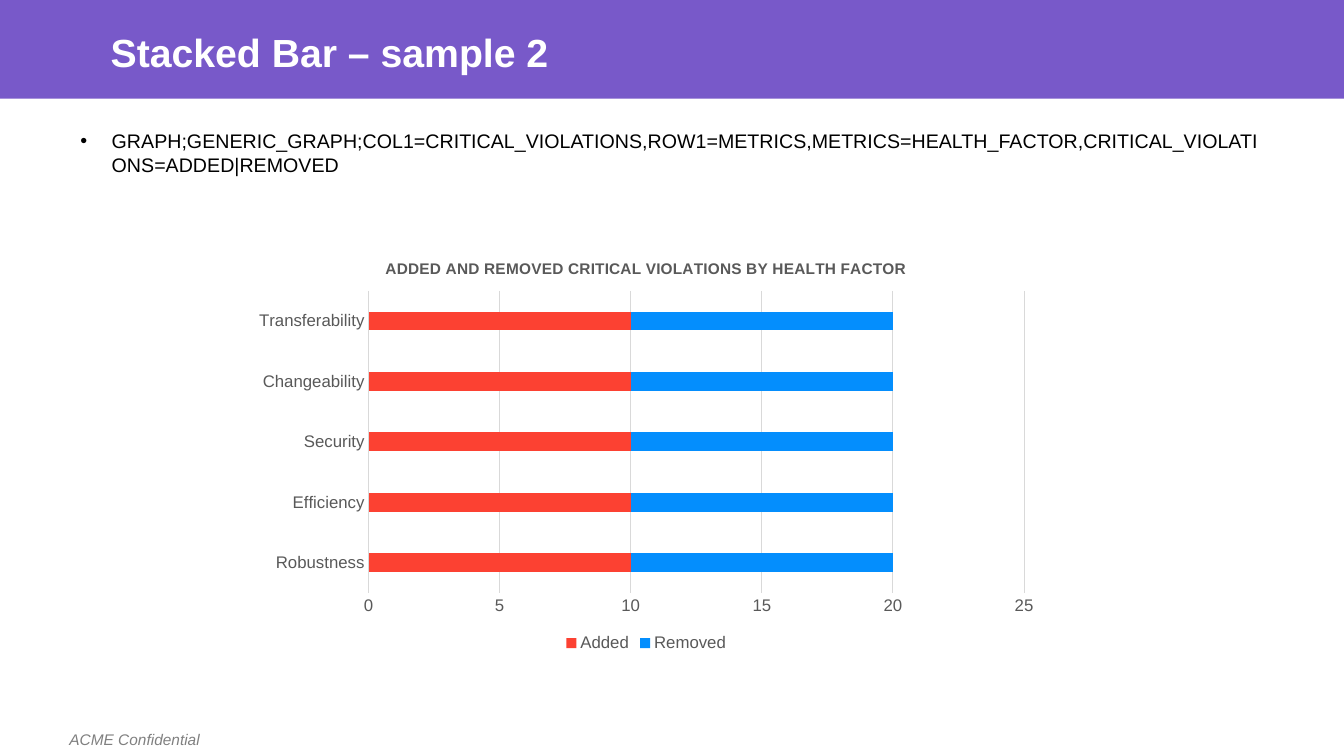
"""Build a slide with a stacked bar chart of critical violations."""
from pptx import Presentation
from pptx.chart import data
from pptx.dml.color import RGBColor
from pptx.enum import chart as ch, shapes
from pptx.oxml import parse_xml
from pptx.oxml.ns import nsdecls
from pptx.util import Inches, Pt

PURPLE = RGBColor(0x78, 0x59, 0xC9)
WHITE = RGBColor(0xFF, 0xFF, 0xFF)
BLACK = RGBColor(0, 0, 0)
FOOTER_GRAY = RGBColor(0x80, 0x80, 0x80)
LABEL_GRAY = RGBColor(0x59, 0x59, 0x59)
GRID_GRAY = RGBColor(0xD9, 0xD9, 0xD9)
RED = RGBColor(0xFC, 0x41, 0x32)
BLUE = RGBColor(0x04, 0x8E, 0xFD)
FONT = "Arial"
FACTORS = ["Robustness", "Efficiency", "Security", "Changeability", "Transferability"]
VIOLATIONS = [("Added", [10] * 5, RED), ("Removed", [10] * 5, BLUE)]


def style_font(font, size, color, bold=False, italic=False):
    """Set the face, size, colour and emphasis of a font."""
    font.name, font.size = FONT, Pt(size)
    font.bold, font.italic = bold, italic
    font.color.rgb = color


def add_band(slide, box):
    """Draw the filled header band."""
    band = slide.shapes.add_shape(shapes.MSO_SHAPE.RECTANGLE, *map(Inches, box))
    band.shadow.inherit = False
    band.fill.solid()
    band.fill.fore_color.rgb = PURPLE
    band.line.fill.background()


def add_text(slide, box, wording, size, color, **emphasis):
    """Add a one-paragraph text box and return its paragraph."""
    frame = slide.shapes.add_textbox(*map(Inches, box)).text_frame
    frame.word_wrap = True
    paragraph = frame.paragraphs[0]
    run = paragraph.add_run()
    run.text = wording
    style_font(run.font, size, color, **emphasis)
    return paragraph


def add_bullet(paragraph, indent):
    """Give a paragraph a round bullet with a hanging indent."""
    props = paragraph._p.get_or_add_pPr()
    props.set("marL", str(Inches(indent)))
    props.set("indent", str(-Inches(indent)))
    props.append(parse_xml(f'<a:buFont {nsdecls("a")} typeface="{FONT}"/>'))
    props.append(parse_xml(f'<a:buChar {nsdecls("a")} char="•"/>'))


def style_axis(axis):
    """Set axis labels and remove tick marks."""
    axis.major_tick_mark = axis.minor_tick_mark = ch.XL_TICK_MARK.NONE
    style_font(axis.tick_labels.font, 12, LABEL_GRAY)


def style_line(line):
    """Set a thin gray line."""
    line.color.rgb = GRID_GRAY
    line.width = Pt(0.75)


def add_violations_chart(slide, box, heading):
    """Add the stacked bar chart of violations by health factor."""
    figures = data.CategoryChartData()
    figures.categories = FACTORS
    for name, counts, _ in VIOLATIONS:
        figures.add_series(name, counts)
    chart = slide.shapes.add_chart(
        ch.XL_CHART_TYPE.BAR_STACKED, *map(Inches, box), figures).chart
    style_font(chart.font, 10, BLACK)

    chart.has_title = True
    run = chart.chart_title.text_frame.paragraphs[0].add_run()
    run.text = heading
    style_font(run.font, 11, LABEL_GRAY, bold=True)
    chart.chart_title.include_in_layout = False

    chart.has_legend = True
    chart.legend.position = ch.XL_LEGEND_POSITION.BOTTOM
    chart.legend.include_in_layout = False
    style_font(chart.legend.font, 12, LABEL_GRAY)

    factors, counts = chart.category_axis, chart.value_axis
    style_axis(factors)
    style_line(factors.format.line)
    style_axis(counts)
    counts.minimum_scale, counts.maximum_scale, counts.major_unit = 0, 25, 5
    counts.format.line.fill.background()
    style_line(counts.major_gridlines.format.line)

    plot = chart.plots[0]
    plot.gap_width, plot.overlap, plot.vary_by_categories = 219, 100, False
    for series, (_, _, color) in zip(plot.series, VIOLATIONS):
        series.format.fill.solid()
        series.format.fill.fore_color.rgb = color


def main():
    """Build and save the slide."""
    deck = Presentation()
    deck.slide_width, deck.slide_height = Inches(13.33), Inches(7.5)
    slide = deck.slides.add_slide(deck.slide_layouts[6])
    add_band(slide, (0, 0, 13.33, 0.98))
    add_text(slide, (0.59, 7.19, 1.8, 0.29), "ACME Confidential", 11, FOOTER_GRAY,
             italic=True)
    title = add_text(slide, (1, 0.28, 11.5, 0.44), "Stacked Bar – sample 2", 28, WHITE,
                     bold=True)
    title.line_spacing = 0.9
    add_violations_chart(slide, (2.41, 2.4, 8, 4.11),
                         "ADDED AND REMOVED CRITICAL VIOLATIONS BY HEALTH FACTOR")
    query = add_text(
        slide, (0.7, 1.23, 11.96, 4.76),
        "GRAPH;GENERIC_GRAPH;COL1=CRITICAL_VIOLATIONS,ROW1=METRICS,"
        "METRICS=HEALTH_FACTOR,CRITICAL_VIOLATIONS=ADDED|REMOVED", 14, BLACK)
    add_bullet(query, 0.31)
    deck.save("out.pptx")


if __name__ == "__main__":
    main()
